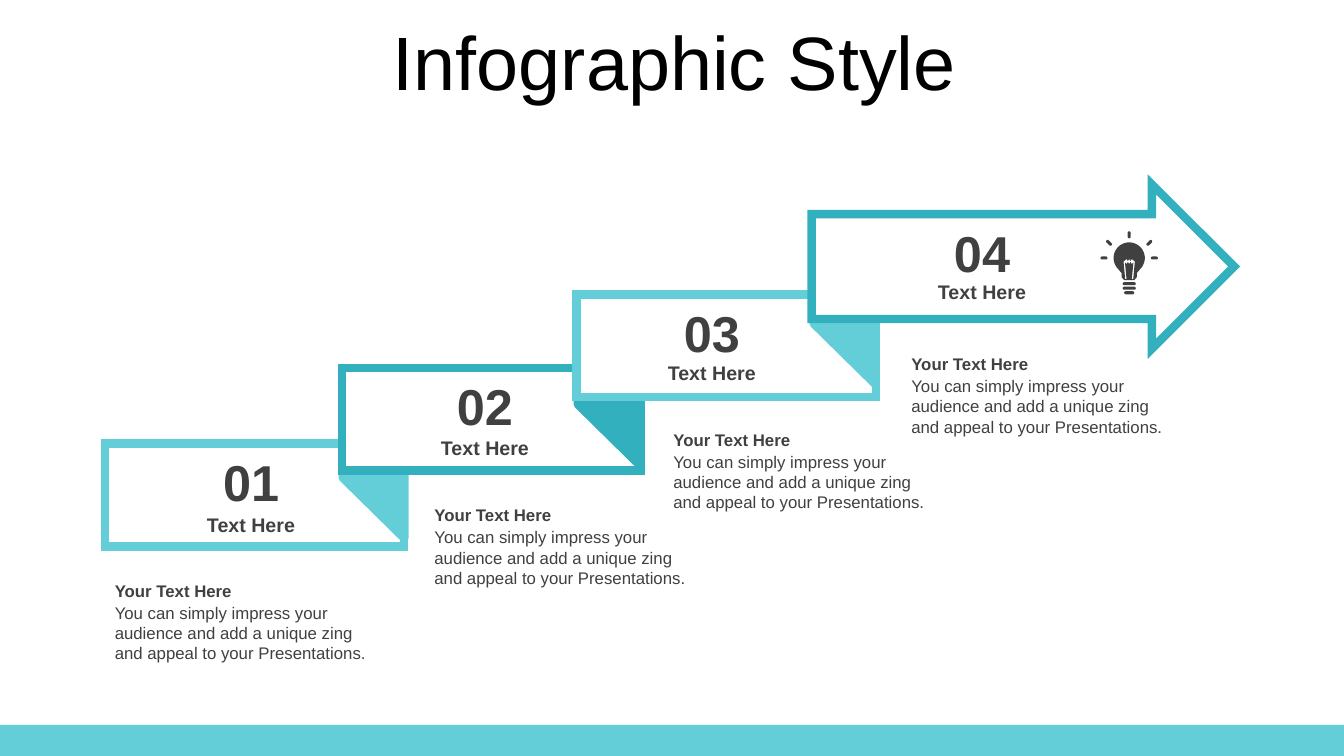
from math import cos, radians, sin

from lxml import etree
from pptx import Presentation
from pptx.dml.color import RGBColor
from pptx.enum.shapes import MSO_SHAPE as SHAPE
from pptx.enum.text import MSO_ANCHOR as ANCHOR, PP_ALIGN as ALIGN
from pptx.oxml.ns import qn
from pptx.util import Inches, Pt

W, H = 13.33, 7.5
COLORS = {"light": "64CED8", "dark": "32B0BE", "ink": "404040",
          "black": "000000", "white": "FFFFFF"}
NUMBER = {"size": Pt(36), "bold": True}
LABEL = {"size": Pt(14), "bold": True}
HEAD = {"size": Pt(12), "bold": True}
BODY = {"size": Pt(12), "bold": False}
TITLE = {"size": Pt(54), "bold": False}

BOX_W, BOX_H = 2.97, 1.02
FOLD_W, FOLD_H = 0.61, 1.62
CAPTION_TOP, CAPTION_RISE = 5.71, 0.75

# left, top, text centre from left, number and label drop, colour, fold corner,
# caption left and width
STEPS = [
    (1.04, 4.40, 1.45, 0.03, 0.64, "light", (3.40, 3.72), (1.04, 2.83)),
    (3.39, 3.65, 1.42, 0.02, 0.63, "dark", (5.73, 2.99), (4.21, 2.71)),
    (5.72, 2.92, 1.34, 0.03, 0.61, "light", (8.07, 2.19), (6.58, 2.71)),
    (8.05, 2.13, 1.69, 0.02, 0.60, "dark", None, (8.94, 2.71)),
]
CAPTION = ("You can simply impress your audience and add a unique zing "
           "and appeal to your Presentations.")


def rgb(name):
    return RGBColor.from_string(COLORS[name])


def paint(sp, fill, line=None, miter=False):
    sp.shadow.inherit = False
    sp.fill.solid()
    sp.fill.fore_color.rgb = rgb(fill)
    if line is None:
        sp.line.fill.background()
        return
    sp.line.color.rgb = rgb(line)
    sp.line.width = Pt(6)
    if miter:
        ln = sp.line.fill._xPr
        etree.SubElement(ln, qn("a:miter"), lim="800000")


def add_preset(s, kind, x, y, w, h):
    return s.shapes.add_shape(kind, Inches(x), Inches(y), Inches(w), Inches(h))


def add_outline(s, *contours):
    """One shape made of closed contours; inner ones are holes."""
    builder = None
    for contour in contours:
        first, *rest = [(Inches(x), Inches(y)) for x, y in contour]
        if builder is None:
            builder = s.shapes.build_freeform(*first)
        else:
            builder.move_to(*first)
        builder.add_line_segments(rest, close=True)
    return builder.convert_to_shape()


def add_text(s, text, x, y, w, h, style, color="ink", align=ALIGN.LEFT):
    tf = s.shapes.add_textbox(Inches(x), Inches(y), Inches(w), Inches(h)).text_frame
    tf.word_wrap = True
    p = tf.paragraphs[0]
    p.alignment = align
    r = p.add_run()
    r.text = text
    r.font.name = "Arial"
    r.font.color.rgb = rgb(color)
    for name, value in style.items():
        setattr(r.font, name, value)
    return tf


def add_frame(s):
    """Footer band and title."""
    paint(add_preset(s, SHAPE.RECTANGLE, 0, 7.19, W, H - 7.19), "light")
    tf = add_text(s, "Infographic Style", 0.36, 0.26, 12.66, 0.79, TITLE,
                  "black", ALIGN.CENTER)
    tf.vertical_anchor = ANCHOR.MIDDLE
    tf.paragraphs[0].line_spacing = 0.9


def add_ribbon(s, x, y, color, fold):
    """White box with the fold that rises to the next step."""
    paint(add_preset(s, SHAPE.RECTANGLE, x, y, BOX_W, BOX_H), "white", color, miter=True)
    fx, fy = fold
    corners = [(fx, fy), (fx + FOLD_W, fy + 0.6),
               (fx + FOLD_W, fy + FOLD_H), (fx, fy + FOLD_H - 0.6)]
    paint(add_outline(s, corners), color, color)


def add_arrow(s, x, y, color):
    """Final step, its head reaching above and below the shaft."""
    sp = add_preset(s, SHAPE.RIGHT_ARROW, x, y - 0.3, 4.19, 1.63)
    sp.adjustments[0], sp.adjustments[1] = 0.639, 0.5
    paint(sp, "white", color, miter=True)


def add_step_text(s, number, cx, y, number_drop, label_drop):
    add_text(s, number, cx - 0.42, y + number_drop, 0.84, 0.71, NUMBER,
             align=ALIGN.CENTER)
    add_text(s, "Text Here", cx - 0.64, y + label_drop, 1.28, 0.34, LABEL,
             align=ALIGN.CENTER)


def add_caption(s, x, y, w):
    add_text(s, CAPTION, x, y + 0.22, w, 0.71, BODY)
    add_text(s, "Your Text Here", x, y, w, 0.3, HEAD)


def arc(x, y, radius, start, end, step):
    return [(x + radius * cos(radians(a)), y + radius * sin(radians(a)))
            for a in range(start, end + 1, step)]


def bar(x, y, length, angle=0):
    """Contour of a round-ended bar, turned around its centre."""
    dx = (length / 2 - 0.015) * cos(radians(angle))
    dy = (length / 2 - 0.015) * sin(radians(angle))
    return (arc(x + dx, y + dy, 0.015, angle - 90, angle + 90, 30)
            + arc(x - dx, y - dy, 0.015, angle + 90, angle + 270, 30))


def add_bulb(s, cx, cy):
    """Light bulb around the centre of its globe."""
    def place(points):
        return [(cx + dx, cy + dy) for dx, dy in points]

    # Globe and neck, with the filament as a hole
    neck = place([(0.075, 0.15), (0.075, 0.19), (0.05, 0.22),
                  (-0.05, 0.22), (-0.075, 0.19), (-0.075, 0.15)])
    body = arc(cx, cy, 0.155, 135, 405, 10) + neck
    outer = [(-0.04, 0.21), (-0.056, 0.035), (-0.025, 0.01), (-0.013, 0.03), (0, 0.01),
             (0.013, 0.03), (0.025, 0.01), (0.056, 0.035), (0.04, 0.21)]
    inner = [(0.026, 0.21), (0.042, 0.045), (0.025, 0.06), (0.013, 0.04), (0, 0.06),
             (-0.013, 0.04), (-0.025, 0.06), (-0.042, 0.045), (-0.026, 0.21)]
    # Socket and rays
    socket = [bar(cx, cy + 0.255 + 0.045 * i, w) for i, w in enumerate((0.13, 0.13, 0.1))]
    rays = [bar(cx + dx, cy + dy, 0.07, angle) for dx, dy, angle in
            [(-0.25, 0, 0), (-0.2, -0.15, 45), (0, -0.23, 90),
             (0.2, -0.15, 135), (0.25, 0, 0)]]
    paint(add_outline(s, body, place(outer + inner), *socket, *rays), "ink")


def build_slide(prs):
    s = prs.slides.add_slide(prs.slide_layouts[6])
    add_frame(s)
    for x, y, _, _, _, color, fold, _ in STEPS:
        if fold:
            add_ribbon(s, x, y, color, fold)
        else:
            add_arrow(s, x, y, color)
    for i, (x, y, centre, number_drop, label_drop, _, _, (left, width)) in enumerate(STEPS):
        add_step_text(s, f"{i + 1:02d}", x + centre, y, number_drop, label_drop)
        add_caption(s, left, CAPTION_TOP - CAPTION_RISE * i, width)
    add_bulb(s, 11.2, 2.56)


def main():
    prs = Presentation()
    prs.slide_width, prs.slide_height = Inches(W), Inches(H)
    build_slide(prs)
    prs.save("out.pptx")


if __name__ == "__main__":
    main()
